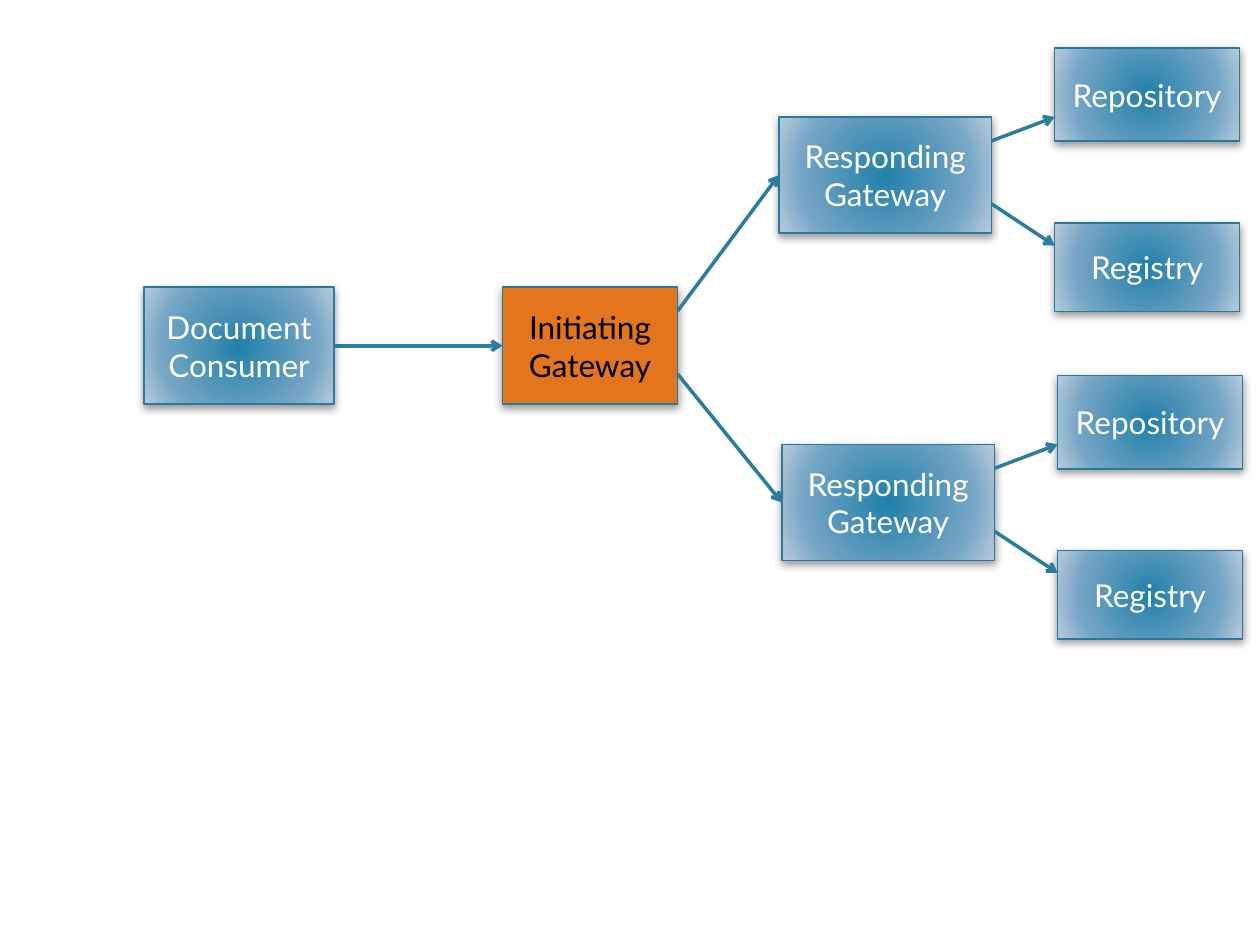
from pptx import Presentation
from pptx import util as u
from pptx.dml.color import RGBColor
from pptx.enum import shapes, text
from pptx.oxml import parse_xml
from pptx.oxml.ns import nsdecls, qn
from lxml import etree

ORANGE = RGBColor(0xE2, 0x75, 0x1D)
EDGE = RGBColor(0x28, 0x7A, 0x9E)
ARROW = RGBColor(0x2C, 0x7C, 0x9F)
WHITE = RGBColor(0xFF, 0xFF, 0xFF)
BLACK = RGBColor(0x00, 0x00, 0x00)

GLOW = f"""<a:gradFill {nsdecls("a")} rotWithShape="1"><a:gsLst>
<a:gs pos="0"><a:srgbClr val="2180AA"/></a:gs>
<a:gs pos="69000"><a:srgbClr val="75A5C5"/></a:gs>
<a:gs pos="100000"><a:srgbClr val="B8CCDC"/></a:gs></a:gsLst>
<a:path path="circle"><a:fillToRect l="100000" t="100000" r="100000" b="100000"/></a:path>
</a:gradFill>"""
SHADOW = f"""<a:outerShdw {nsdecls("a")} blurRad="63500" dist="25400" dir="5400000"
 rotWithShape="0"><a:srgbClr val="000000"><a:alpha val="40000"/></a:srgbClr></a:outerShdw>"""


def add_box(home, label, x, y, w, h, fill=None, ink=WHITE):
    """Add a labelled box, with the blue radial gradient unless a fill is given."""
    box = home.add_shape(shapes.MSO_SHAPE.RECTANGLE, u.Cm(x), u.Cm(y), u.Cm(w), u.Cm(h))
    props = box._element.spPr
    if fill is None:
        box.fill.gradient()
        props.replace(props.find(qn("a:gradFill")), parse_xml(GLOW))
    else:
        box.fill.solid()
        box.fill.fore_color.rgb = fill
    box.line.color.rgb = EDGE
    box.line.width = u.Pt(1)
    box.shadow.inherit = False
    props.find(qn("a:effectLst")).append(parse_xml(SHADOW))
    frame = box.text_frame
    frame.word_wrap = True
    frame.vertical_anchor = text.MSO_ANCHOR.MIDDLE
    frame.text = label
    par = frame.paragraphs[0]
    par.alignment = text.PP_ALIGN.CENTER
    font = par.runs[0].font
    font.name = "Lato"
    font.size = u.Pt(18)
    font.color.rgb = ink
    return box


def add_arrow(home, x1, y1, x2, y2):
    arrow = home.add_connector(shapes.MSO_CONNECTOR.STRAIGHT,
                               u.Cm(x1), u.Cm(y1), u.Cm(x2), u.Cm(y2))
    arrow.line.color.rgb = ARROW
    arrow.line.width = u.Pt(2)
    props = arrow._element.spPr
    etree.SubElement(props.find(qn("a:ln")), qn("a:tailEnd"), type="arrow")
    etree.SubElement(props, qn("a:effectLst"))
    return arrow


deck = Presentation()
deck.slide_width = u.Cm(25.4)
deck.slide_height = u.Cm(19.05)
slide = deck.slides.add_slide(deck.slide_layouts[6])

start = add_box(slide.shapes, "Initiating Gateway", 10.13, 5.79, 3.53, 2.36, ORANGE, BLACK)
client = add_box(slide.shapes, "Document Consumer", 2.9, 5.79, 3.84, 2.36)

# Two communities of the same make-up, one below the other
gates = []
for dx, dy in ((0, 0), (0.06, 6.6)):
    group = slide.shapes.add_group_shape().shapes
    gates.append(add_box(group, "Responding Gateway", 15.7 + dx, 2.36 + dy, 4.29, 2.34))
    add_box(group, "Repository", 21.26 + dx, 0.97 + dy, 3.73, 1.88)
    add_box(group, "Registry", 21.26 + dx, 4.5 + dy, 3.73, 1.78)
    for y1, y2 in ((2.84, 2.36), (4.11, 4.95)):
        add_arrow(group, 19.99 + dx, y1 + dy, 21.26 + dx, y2 + dy)

for gate, y1, y2 in zip(gates, (6.27, 7.54), (3.53, 10.13)):
    add_arrow(slide.shapes, 13.66, y1, 15.7, y2).end_connect(gate, 1)

query = add_arrow(slide.shapes, 6.74, 6.97, 10.13, 6.97)
query.begin_connect(client, 3)
query.end_connect(start, 1)

deck.save("out.pptx")
